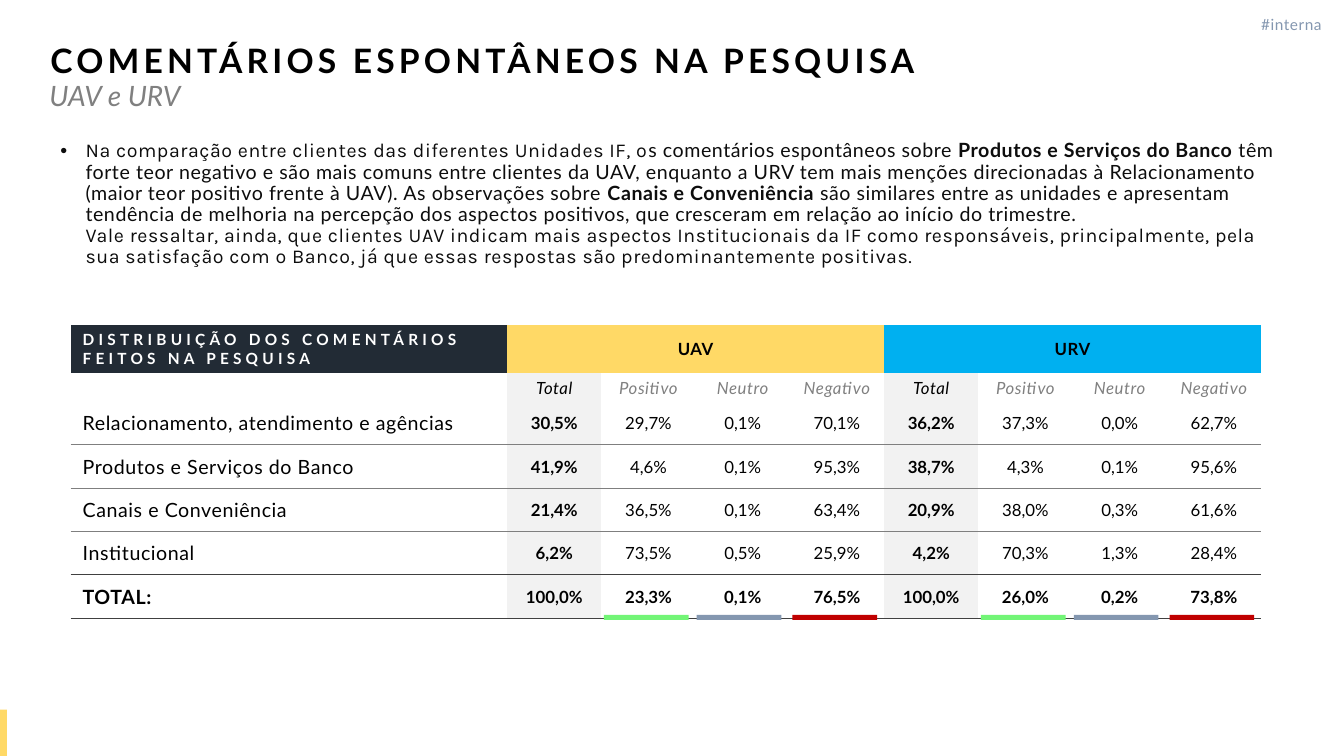
from lxml import etree
from pptx import Presentation
from pptx.dml.color import RGBColor
from pptx.enum import shapes, text
from pptx.oxml import ns
from pptx.util import Inches, Pt

COLORS = {
    "black": "000000", "ink": "0D0D0D", "white": "FFFFFF", "gray": "808080",
    "navy": "222B35", "yellow": "FFD966", "blue": "00B0F0", "total": "F2F2F2",
    "rule": "7F7F7F", "dark_rule": "404040",
    "positive": "72F576", "neutral": "8497B0", "negative": "C00000",
}
UNITS = [("UAV", "yellow"), ("URV", "blue")]
MEASURES = ["Total", "Positivo", "Neutro", "Negativo"]
COMMENTS = [
    ("Relacionamento, atendimento e agências",
     "30,5% 29,7% 0,1% 70,1% 36,2% 37,3% 0,0% 62,7%"),
    ("Produtos e Serviços do Banco",
     "41,9% 4,6% 0,1% 95,3% 38,7% 4,3% 0,1% 95,6%"),
    ("Canais e Conveniência",
     "21,4% 36,5% 0,1% 63,4% 20,9% 38,0% 0,3% 61,6%"),
    ("Institucional",
     "6,2% 73,5% 0,5% 25,9% 4,2% 70,3% 1,3% 28,4%"),
    ("TOTAL:",
     "100,0% 23,3% 0,1% 76,5% 100,0% 26,0% 0,2% 73,8%"),
]
ANALYSIS = [
    ("Na comparação entre clientes das diferentes Unidades IF, o", "Karla", False),
    ("s comentários espontâneos sobre", "Lato", False),
    (" Produtos e Serviços do Banco ", "Lato", True),
    ("têm forte teor negativo e são mais comuns entre clientes da UAV, enquanto a URV "
     "tem mais menções direcionadas à Relacionamento (maior teor positivo frente à UAV). "
     "As observações sobre ", "Lato", False),
    ("Canais e Conveniência", "Lato", True),
    (" são similares entre as unidades e apresentam tendência de melhoria na percepção "
     "dos aspectos positivos, que cresceram em relação ao início do trimestre. \n",
     "Lato", False),
    ("Vale ressaltar, ainda, que clientes UAV indicam mais aspectos Institucionais da IF "
     "como responsáveis, principalmente, pela sua satisfação com o Banco, já que essas "
     "respostas são predominantemente positivas.", "Karla", False),
]
TABLE_LEFT, TABLE_TOP, TABLE_WIDTH = 0.7, 3.22, 11.81
LABEL_WIDTH = 4.33
MEASURE_WIDTH = (TABLE_WIDTH - LABEL_WIDTH) / (len(UNITS) * len(MEASURES))
ROW_HEIGHTS = [0.48, 0.28] + [0.43] * len(COMMENTS)


def rgb(color):
    return RGBColor.from_string(COLORS[color])


def write(paragraph, content, size=12, color="black", font="Lato", bold=False,
          italic=False, spacing=0):
    """Append formatted text; a newline becomes a line break of the same size."""
    for number, line in enumerate(content.split("\n")):
        if number:
            paragraph.add_line_break()
            etree.SubElement(paragraph._p[-1], ns.qn("a:rPr"), sz=str(size * 100))
        if not line:
            continue
        run = paragraph.add_run()
        run.text = line
        run.font.size, run.font.name = Pt(size), font
        run.font.bold, run.font.italic = bold, italic
        run.font.color.rgb = rgb(color)
        run.font._element.set("spc", str(round(spacing * 100)))


def set_frame(frame, left=0.0, right=0.0):
    frame.word_wrap = True
    frame.auto_size = text.MSO_AUTO_SIZE.NONE
    frame.vertical_anchor = text.MSO_ANCHOR.TOP
    frame.margin_left, frame.margin_right = Inches(left), Inches(right)
    frame.margin_top = frame.margin_bottom = Inches(0.05)
    return frame.paragraphs[0]


def add_text(slide, left, top, width, height, side_margin=0.0):
    box = slide.shapes.add_textbox(*map(Inches, (left, top, width, height)))
    paragraph = set_frame(box.text_frame, side_margin, side_margin)
    paragraph.line_spacing = 0.9
    return paragraph


def add_bar(slide, left, top, width, height, color):
    bar = slide.shapes.add_shape(shapes.MSO_SHAPE.RECTANGLE,
                                 *map(Inches, (left, top, width, height)))
    bar.shadow.inherit = False
    bar.fill.solid()
    bar.fill.fore_color.rgb = rgb(color)
    bar.line.fill.background()


def set_title(slide):
    title = slide.shapes.title
    title.left, title.top = Inches(0.5), Inches(0.39)
    title.width, title.height = Inches(12.32), Inches(0.46)
    paragraph = set_frame(title.text_frame, right=0.1)
    paragraph.alignment = text.PP_ALIGN.LEFT
    paragraph.line_spacing = 0.9
    write(paragraph, "COMENTÁRIOS ESPONTÂNEOS NA PESQUISA", size=24, bold=True, spacing=3)


def add_analysis(slide):
    paragraph = add_text(slide, 0.5, 1.35, 12.32, 1.64, side_margin=0.1)
    properties = paragraph._p.get_or_add_pPr()
    properties.set("marL", str(Inches(0.25)))
    properties.set("indent", str(-Inches(0.25)))
    etree.SubElement(properties, ns.qn("a:buFont"), typeface="Arial")
    etree.SubElement(properties, ns.qn("a:buChar"), char="•")
    for content, font, bold in ANALYSIS:
        write(paragraph, content, size=14, color="ink", font=font, bold=bold, spacing=0.4)


def set_borders(cell, top, bottom):
    properties = cell._tc.get_or_add_tcPr()
    for side, color in (("L", None), ("R", None), ("T", top), ("B", bottom)):
        line = etree.SubElement(properties, ns.qn(f"a:ln{side}"), w=str(Pt(0.5)))
        if color:
            fill = etree.SubElement(line, ns.qn("a:solidFill"))
            etree.SubElement(fill, ns.qn("a:srgbClr"), val=COLORS[color])
        else:
            etree.SubElement(line, ns.qn("a:noFill"))


def fill_cell(cell, content="", fill=None, label=False, top=None, bottom=None, **style):
    set_borders(cell, top, bottom)
    if fill:
        cell.fill.solid()
        cell.fill.fore_color.rgb = rgb(fill)
    else:
        cell.fill.background()
    cell.vertical_anchor = text.MSO_ANCHOR.MIDDLE
    cell.margin_left = Inches(0.12 if label else 0.01)
    cell.margin_right = cell.margin_top = Inches(0.01)
    cell.margin_bottom = 0
    paragraph = cell.text_frame.paragraphs[0]
    paragraph.alignment = text.PP_ALIGN.LEFT if label else text.PP_ALIGN.CENTER
    write(paragraph, content, **style)
    if not content:
        paragraph._p.get_or_add_endParaRPr().set("sz", "1200")


def add_comments_table(slide):
    measures = MEASURES * len(UNITS)
    table = slide.shapes.add_table(
        len(ROW_HEIGHTS), 1 + len(measures), Inches(TABLE_LEFT), Inches(TABLE_TOP),
        Inches(TABLE_WIDTH), Inches(sum(ROW_HEIGHTS))).table
    table.first_row = table.horz_banding = False
    for row, height in zip(table.rows, ROW_HEIGHTS):
        row.height = Inches(height)
    for number, column in enumerate(table.columns):
        column.width = Inches(MEASURE_WIDTH if number else LABEL_WIDTH)

    fill_cell(table.cell(0, 0), "DISTRIBUIÇÃO DOS COMENTÁRIOS\nFEITOS NA PESQUISA",
              fill="navy", label=True, size=11, color="white", bold=True, spacing=3)
    for number, (unit, color) in enumerate(UNITS):
        first = 1 + number * len(MEASURES)
        table.cell(0, first).merge(table.cell(0, first + len(MEASURES) - 1))
        fill_cell(table.cell(0, first), unit, fill=color, bold=True, spacing=0.4)

    fill_cell(table.cell(1, 0))
    for column, measure in enumerate(measures, 1):
        is_total = measure == "Total"
        fill_cell(table.cell(1, column), measure, fill="total" if is_total else None,
                  color="black" if is_total else "gray", italic=True, spacing=0.4)

    last = len(COMMENTS) - 1
    for number, (topic, shares) in enumerate(COMMENTS):
        rules = {
            "top": None if number == 0 else "dark_rule" if number == last else "rule",
            "bottom": "dark_rule" if number >= last - 1 else "rule",
        }
        row, is_sum = number + 2, number == last
        fill_cell(table.cell(row, 0), topic, label=True, size=14, bold=is_sum,
                  spacing=0.4, **rules)
        for column, (measure, share) in enumerate(zip(measures, shares.split()), 1):
            is_total = measure == "Total"
            fill_cell(table.cell(row, column), share, fill="total" if is_total else None,
                      bold=is_total or is_sum, **rules)


def main():
    deck = Presentation()
    deck.slide_width, deck.slide_height = Inches(13.33), Inches(7.5)
    slide = deck.slides.add_slide(deck.slide_layouts[5])
    add_bar(slide, 0, 7.04, 0.07, 0.46, "yellow")
    set_title(slide)
    write(add_text(slide, 0.49, 0.77, 12.34, 0.45), "UAV e URV",
          size=20, color="gray", italic=True)
    add_analysis(slide)
    add_comments_table(slide)
    for unit in range(len(UNITS)):
        left = 5.99 + unit * len(MEASURES) * MEASURE_WIDTH
        for offset, color in ((0, "positive"), (0.92, "neutral"), (1.87, "negative")):
            add_bar(slide, left + offset, 6.1, 0.84, 0.05, color)
    label = add_text(slide, 12.17, 0.08, 0.94, 0.29)
    label.alignment, label.line_spacing = text.PP_ALIGN.RIGHT, 1.1
    write(label, "#interna", size=11, color="neutral", spacing=0.4)
    deck.save("out.pptx")


if __name__ == "__main__":
    main()
